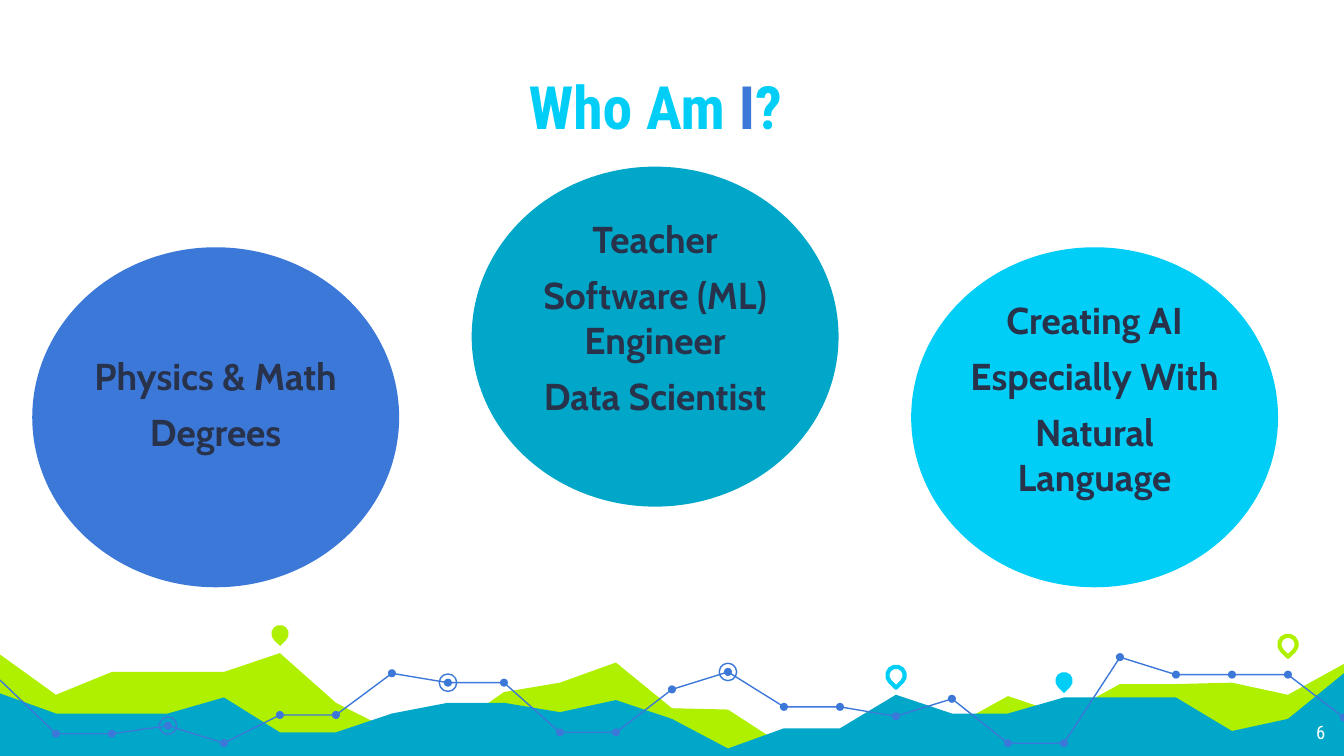
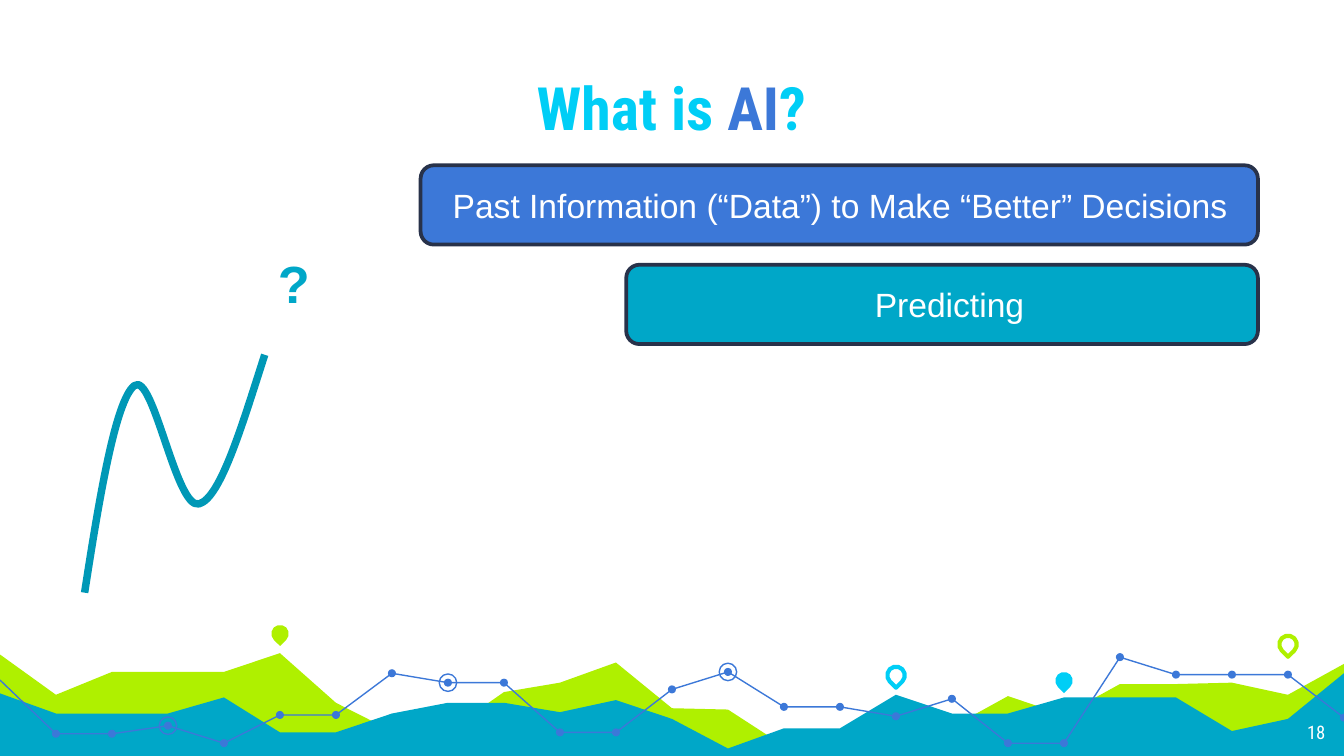
from pptx import Presentation
from pptx.dml.color import RGBColor
from pptx.enum.shapes import MSO_SHAPE
from pptx.enum.text import MSO_ANCHOR, PP_ALIGN
from pptx.oxml.ns import qn
from pptx.util import Inches, Pt
from lxml import etree

ELLIPSE, TEARDROP, ROUNDED = MSO_SHAPE.OVAL, MSO_SHAPE.TEAR, MSO_SHAPE.ROUNDED_RECTANGLE
TOP, MIDDLE, BOTTOM = MSO_ANCHOR.TOP, MSO_ANCHOR.MIDDLE, MSO_ANCHOR.BOTTOM
LEFT, CENTER, RIGHT = PP_ALIGN.LEFT, PP_ALIGN.CENTER, PP_ALIGN.RIGHT

CYAN, TEAL, BLUE, LIME = "00CEF6", "00A7C8", "3C78D8", "AFF000"
INK, WHITE, CURVE = "28324A", "FFFFFF", "0098B6"
HEAD_FONT, BODY_FONT, PLAIN_FONT = "Roboto Condensed", "Cabin", "Arial"

COLUMNS, ROWS = 100, 56.25
STEP = COLUMNS / 24
BACK_RIDGE = [48.7, 51.7, 50, 50, 50, 48.6, 52.3, 54.4, 54.4, 51.5, 50.8, 49.3, 52.7,
              52.8, 55.5, 55.5, 54.1, 54.1, 51.8, 53.2, 50.9, 50.9, 50.8, 51.7, 49.4]
FRONT_RIDGE = [51.6, 53.1, 53.1, 53.1, 51.9, 54.5, 54.5, 53.1, 52.3, 52.3, 53, 52.1, 53.5,
               55.7, 54.2, 54.2, 51.7, 53.1, 53.1, 51.9, 51.9, 51.9, 54.4, 53.5, 50.1]
TREND = [50.6, 54.6, 54.6, 54, 55.3, 53.2, 53.2, 50.1, 50.8, 50.8, 54.5, 54.5, 51.3,
         50, 52.6, 52.6, 53.3, 52, 55.3, 55.3, 48.9, 50.2, 50.2, 50.2, 53.4]
TREND_PARTS = [(0, 11), (11, 20), (20, 24)]
RINGS = [3, 8, 13]
PINS = [(5, 47.15, LIME, True), (16, 50.25, CYAN, False),
        (19, 50.65, CYAN, True), (23, 47.95, LIME, False)]


def rgb(value):
    """Turn a hex string into a colour."""
    return RGBColor.from_string(value)


class Deck:
    """Hold the presentation, its style and the current slide."""

    def __init__(self):
        """Start a widescreen presentation."""
        self.prs = Presentation()
        self.prs.slide_width, self.prs.slide_height = Inches(10), Inches(5.625)

    def x(self, columns):
        """Convert grid columns to a length."""
        return round(self.prs.slide_width * columns / COLUMNS)

    def y(self, rows):
        """Convert grid rows to a length."""
        return round(self.prs.slide_height * rows / ROWS)

    def box(self, left, top, width, height):
        """Convert a grid box to lengths."""
        return self.x(left), self.y(top), self.x(width), self.y(height)

    def add_slide(self, number, title, left=10.5, top=2.5):
        """Add a slide with scenery, page number and title."""
        self.s = self.prs.slides.add_slide(self.prs.slide_layouts[6])
        self.scenery()
        self.text((93.6, 52.8, 6, 3.5), [[(number, WHITE)]], HEAD_FONT, 10, align=RIGHT)
        self.text((left, top, 76.5, 9), [title], HEAD_FONT, 32, True, CENTER, BOTTOM)

    def style(self, sp, fill=None, line=None, weight=0.75):
        """Set fill and line and drop the shadow."""
        sp.shadow.inherit = False
        if fill:
            sp.fill.solid()
            sp.fill.fore_color.rgb = rgb(fill)
        else:
            sp.fill.background()
        if line:
            sp.line.color.rgb = rgb(line)
            sp.line.width = Pt(weight)
        else:
            sp.line.fill.background()
        return sp

    def shape(self, kind, box, fill=None, line=None, weight=0.75):
        """Add a preset shape."""
        sp = self.s.shapes.add_shape(kind, *self.box(*box))
        return self.style(sp, fill, line, weight)

    def mark(self, kind, column, row, size, fill=None, line=None, weight=0.75):
        """Add a small shape centred on a point."""
        box = (column - size / 2, row - size / 2, size, size)
        return self.shape(kind, box, fill, line, weight)

    def outline(self, points, fill=None, line=None, weight=0.75):
        """Add a polygon, or an open line if it has no fill."""
        points = [(self.x(column), self.y(row)) for column, row in points]
        builder = self.s.shapes.build_freeform(*points[0])
        builder.add_line_segments(points[1:], close=bool(fill))
        return self.style(builder.convert_to_shape(), fill, line, weight)

    def curve(self, points, line, weight):
        """Add a Bezier curve from a start and triples of control points."""
        sp = self.outline(points, line=line, weight=weight)
        segments = list(sp._element.iter(qn("a:lnTo")))
        outline = segments[0].getparent()
        for i in range(0, len(segments), 3):
            bezier = etree.SubElement(outline, qn("a:cubicBezTo"))
            for segment in segments[i:i + 3]:
                bezier.append(segment[0])
                outline.remove(segment)

    def label(self, sp, paragraphs, font, size, bold=False, align=LEFT, anchor=TOP,
              inset=(1, 1, 1, 1), before=0):
        """Fill a shape with paragraphs of (text, colour) runs."""
        tf = sp.text_frame
        tf.word_wrap, tf.vertical_anchor = True, anchor
        tf.margin_left, tf.margin_right = self.x(inset[0]), self.x(inset[2])
        tf.margin_top, tf.margin_bottom = self.y(inset[1]), self.y(inset[3])
        for i, runs in enumerate(paragraphs):
            p = tf.add_paragraph() if i else tf.paragraphs[0]
            p.alignment, p.space_before = align, Pt(before)
            for text, color in runs:
                r = p.add_run()
                r.text = text
                r.font.name, r.font.size, r.font.bold = font, Pt(size), bold
                r.font.color.rgb = rgb(color)

    def text(self, box, paragraphs, font, size, *args, **options):
        """Add a text box."""
        sp = self.s.shapes.add_textbox(*self.box(*box))
        self.label(sp, paragraphs, font, size, *args, **options)

    def circle(self, left, top, fill, lines, drop=0):
        """Add a big labelled circle."""
        sp = self.shape(ELLIPSE, (left, top, 27.3, 25.3), fill)
        self.label(sp, [[(line, INK)] for line in lines], BODY_FONT, 20, True, CENTER,
                   inset=(0, drop, 0, 0), before=6)

    def banner(self, left, top, right, fill, caption, align):
        """Add a rounded banner that ends at a given column."""
        sp = self.shape(ROUNDED, (left, top, right - left, 5.9), fill, INK, 2)
        self.label(sp, [[(caption, WHITE)]], PLAIN_FONT, 18, False, align, MIDDLE,
                   (2.1, 0.5, 1, 0.5), 6)

    def scenery(self):
        """Draw the ridges, pins and trend line along the bottom."""
        for ridge, color in ((BACK_RIDGE, LIME), (FRONT_RIDGE, TEAL)):
            top = [(i * STEP, row) for i, row in enumerate(ridge)]
            self.outline(top + [(COLUMNS, ROWS), (0, ROWS)], color)
        trend = [(i * STEP, row) for i, row in enumerate(TREND)]
        for first, last in TREND_PARTS:
            self.outline(trend[first:last + 1], line=BLUE)
        for column, row in trend[1:]:
            self.mark(ELLIPSE, column, row, 0.6, BLUE)
        for i in RINGS:
            self.mark(ELLIPSE, *trend[i], 1.3, line=BLUE)
        for i, row, color, solid in PINS:
            paint = {"fill": color} if solid else {"line": color, "weight": 2.25}
            pin = self.mark(TEARDROP, i * STEP, row, 1.3, **paint)
            pin.adjustments[0] = 1
            pin.rotation = 135


def main():
    """Build both slides and save them."""
    deck = Deck()

    deck.add_slide("6", [("Who Am ", CYAN), ("I", BLUE), ("?", CYAN)])
    deck.circle(35.1, 12.4, TEAL, ["Teacher", "Software (ML) Engineer", "Data Scientist"])
    deck.circle(2.4, 18.4, BLUE, ["Physics & Math", "Degrees"], drop=4.2)
    deck.circle(67.8, 18.4, CYAN, ["Creating AI", "Especially With", "Natural Language"])

    deck.add_slide("18", [("What is ", CYAN), ("AI", BLUE), ("?", CYAN)], 11.7, 2.6)
    deck.banner(31.3, 12.3, 93.6, BLUE,
                "Past Information (“Data”) to Make “Better” Decisions", LEFT)
    deck.banner(46.6, 19.7, 93.6, TEAL, "Predicting", CENTER)
    deck.curve([(6.3, 44.1), (7.4, 37), (8.6, 29.8), (10, 28.7), (11.4, 27.6),
                (13.1, 37.9), (14.8, 37.5), (16.4, 37.1), (18, 31.7), (19.7, 26.4)],
               CURVE, 4)
    deck.text((19.7, 18.2, 3.7, 5.7), [[("?", TEAL)]], PLAIN_FONT, 28, True,
              inset=(1, 0.5, 1, 0.5))

    deck.prs.save("out.pptx")


if __name__ == "__main__":
    main()
